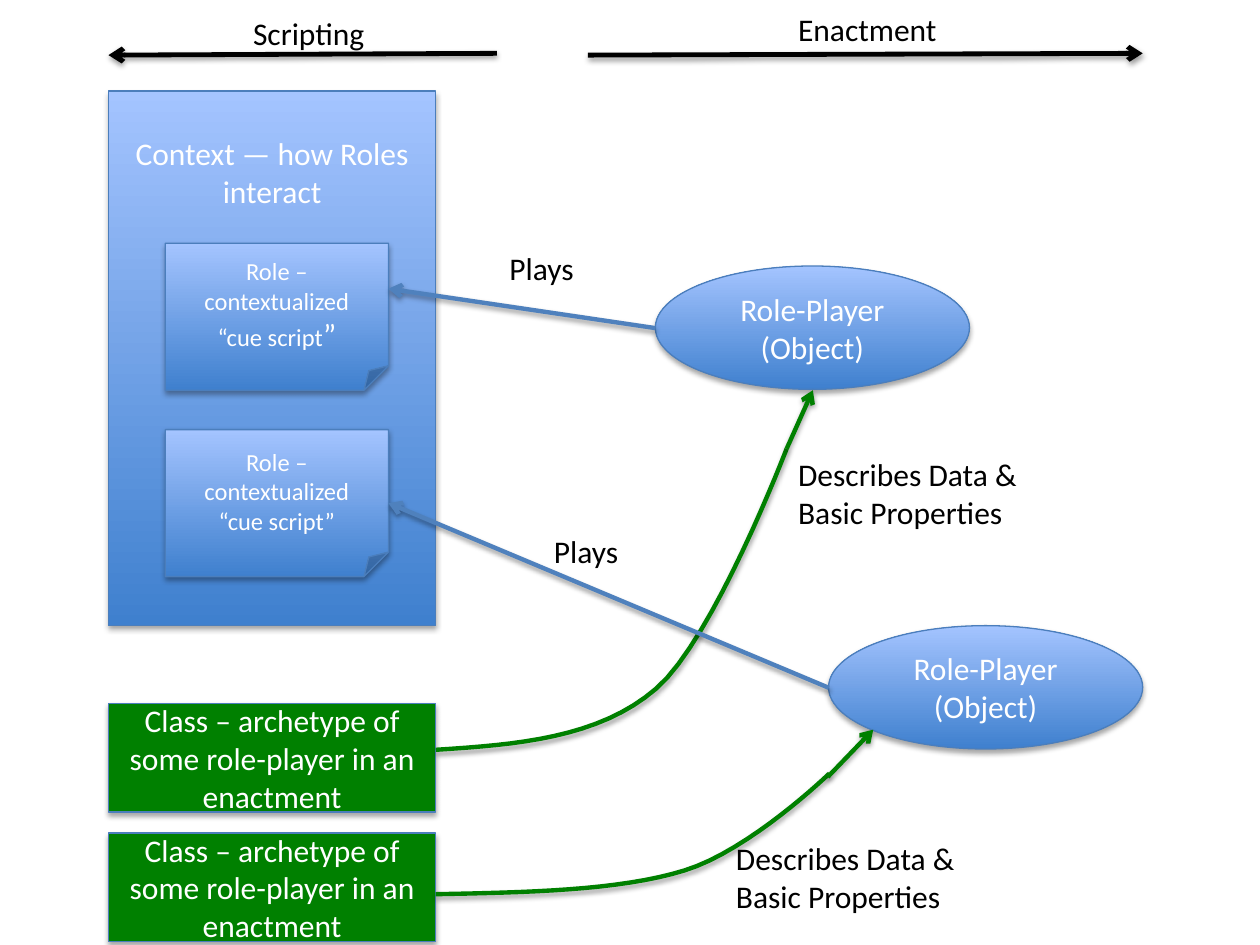
from lxml import etree
from pptx import Presentation
from pptx.dml.color import RGBColor
from pptx.enum import shapes, text
from pptx.oxml import parse_xml
from pptx.oxml.ns import nsdecls, qn
from pptx.util import Pt

WHITE = RGBColor(0xFF, 0xFF, 0xFF)
BLACK = RGBColor(0, 0, 0)
GREEN = RGBColor(0, 0x80, 0)
BLUE_DARK = RGBColor(0x3F, 0x80, 0xCE)
BLUE_LIGHT = RGBColor(0xA4, 0xC4, 0xFF)
BLUE_EDGE = RGBColor(0x4B, 0x7E, 0xBC)
BLUE_LINE = RGBColor(0x4F, 0x81, 0xBD)


def add_shadow(item, distance, opacity):
    """Give a shape or connector a soft shadow straight below it."""
    properties = item._element.spPr
    for old in properties.findall(qn("a:effectLst")):
        properties.remove(old)
    properties.append(parse_xml(
        f'<a:effectLst {nsdecls("a")}><a:outerShdw blurRad="{Pt(3.1)}" dist="{Pt(distance)}" '
        f'dir="5400000" rotWithShape="0"><a:srgbClr val="000000">'
        f'<a:alpha val="{opacity * 1000}"/></a:srgbClr></a:outerShdw></a:effectLst>'))


def write(frame, paragraphs, color, align):
    """Fill a text frame; each paragraph is a list of (wording, size) runs."""
    for i, runs in enumerate(paragraphs):
        paragraph = frame.paragraphs[0] if i == 0 else frame.add_paragraph()
        paragraph.alignment = align
        for wording, size in runs:
            run = paragraph.add_run()
            run.text = wording
            run.font.name = "Calibri"
            run.font.size = Pt(size)
            run.font.color.rgb = color


prs = Presentation()
prs.slide_width, prs.slide_height = Pt(720), Pt(540)
slide = prs.slides.add_slide(prs.slide_layouts[6])

# Context, role-players, roles and classes
RECT = shapes.MSO_SHAPE.RECTANGLE
OVAL = shapes.MSO_SHAPE.OVAL
NOTE = shapes.MSO_SHAPE.FOLDED_CORNER
context = [[("Context — how Roles interact", 18)]]
player = [[("Role-Player", 18)], [("(Object)", 18)]]
role = ("Role – contextualized", 14)
archetype = [[("Class – archetype of some role-player in an enactment", 18)]]
boxes = [
    (RECT, 62, 52, 187, 305.5, context),
    (OVAL, 374.5, 152, 179.5, 70.5, player),
    (NOTE, 94.5, 139, 127.5, 84, [[role], [("“cue script", 14), ("”", 18)]]),
    (NOTE, 94.5, 245.5, 127.5, 84, [[role], [("“cue script”", 14)]]),
    (RECT, 62, 402, 187, 62, archetype),
    (RECT, 62, 476, 187, 62, archetype),
    (OVAL, 473.5, 357.5, 179.5, 70.5, player),
]
for kind, left, top, width, height, paragraphs in boxes:
    box = slide.shapes.add_shape(kind, Pt(left), Pt(top), Pt(width), Pt(height))
    if paragraphs is archetype:
        box.fill.solid()
        box.fill.fore_color.rgb = GREEN
    else:
        box.fill.gradient()
        box.fill.gradient_angle = 90
        for stop, color in zip(box.fill.gradient_stops, (BLUE_DARK, BLUE_LIGHT)):
            stop.color.rgb = color
    box.line.color.rgb = BLUE_EDGE
    box.line.width = Pt(0.75)
    add_shadow(box, 1.8, 35)
    frame = box.text_frame
    frame.word_wrap = True
    frame.vertical_anchor = text.MSO_ANCHOR.MIDDLE
    if paragraphs is context:
        frame.vertical_anchor = text.MSO_ANCHOR.TOP
        frame.margin_top = Pt(24.5)
    write(frame, paragraphs, WHITE, text.PP_ALIGN.CENTER)

# Curves from the classes, as chains of cubic Bézier segments
STEPS = 16
curves = [
    [(249, 428.5), (295, 425.5), (342, 422), (375, 393.5), (408, 365), (449.5, 256.5), (449.5, 256.5)],
    [(249, 511), (301, 510), (353.5, 509), (391, 497.5), (428.5, 486), (474, 442), (474, 442)],
]
for knots in curves:
    points = []
    for first in range(0, len(knots) - 1, 3):
        a, b, c, d = knots[first:first + 4]
        for step in range(1, STEPS + 1):
            t = step / STEPS
            s = 1 - t
            points.append(tuple(
                Pt(s**3 * a[n] + 3 * s * s * t * b[n] + 3 * s * t * t * c[n] + t**3 * d[n])
                for n in (0, 1)))
    builder = slide.shapes.build_freeform(Pt(knots[0][0]), Pt(knots[0][1]))
    builder.add_line_segments(points, close=False)
    curve = builder.convert_to_shape()
    curve.fill.background()
    curve.line.color.rgb = GREEN
    curve.line.width = Pt(2.5)
    add_shadow(curve, 1.6, 38)

# Arrows: plays, curve ends, and the two phases on top
arrows = [
    (374.5, 187.5, 222, 165, BLUE_LINE, 2.5),
    (473.5, 393, 222, 287.5, BLUE_LINE, 2.5),
    (449.5, 256.5, 464.5, 223, GREEN, 2.5),
    (473, 444, 499, 417, GREEN, 2.5),
    (336, 31.5, 653, 30.5, BLACK, 2.75),
    (284, 30.5, 62, 31.5, BLACK, 2.75),
]
for x1, y1, x2, y2, color, weight in arrows:
    arrow = slide.shapes.add_connector(
        shapes.MSO_CONNECTOR.STRAIGHT, Pt(x1), Pt(y1), Pt(x2), Pt(y2))
    arrow.line.color.rgb = color
    arrow.line.width = Pt(weight)
    etree.SubElement(arrow.line._get_or_add_ln(), qn("a:tailEnd"), type="arrow")
    add_shadow(arrow, 1.6, 38)

# Labels
describes = ["Describes Data &", "Basic Properties"]
labels = [
    (284, 139, 52, 29, ["Plays"]),
    (309.5, 300.5, 52, 29, ["Plays"]),
    (449, 256.5, 141, 51, describes),
    (413.5, 476, 141, 51, describes),
    (137.5, 4.5, 79, 29, ["Scripting"]),
    (449, 2, 94.5, 29, ["Enactment"]),
]
for left, top, width, height, lines in labels:
    label = slide.shapes.add_textbox(Pt(left), Pt(top), Pt(width), Pt(height))
    label.text_frame.word_wrap = False
    label.text_frame.auto_size = text.MSO_AUTO_SIZE.SHAPE_TO_FIT_TEXT
    write(label.text_frame, [[(line, 18)] for line in lines], BLACK, text.PP_ALIGN.LEFT)

prs.save("out.pptx")
